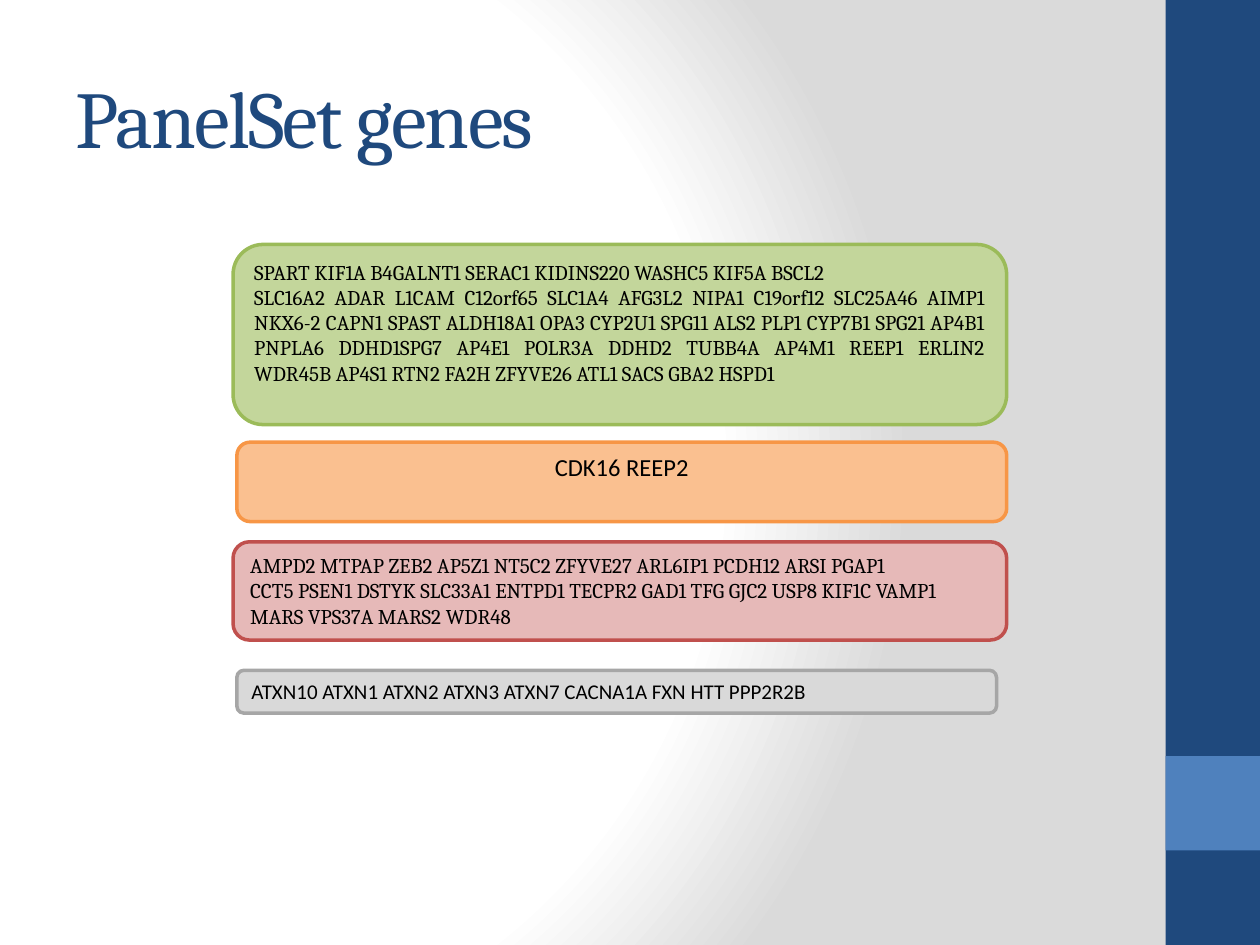
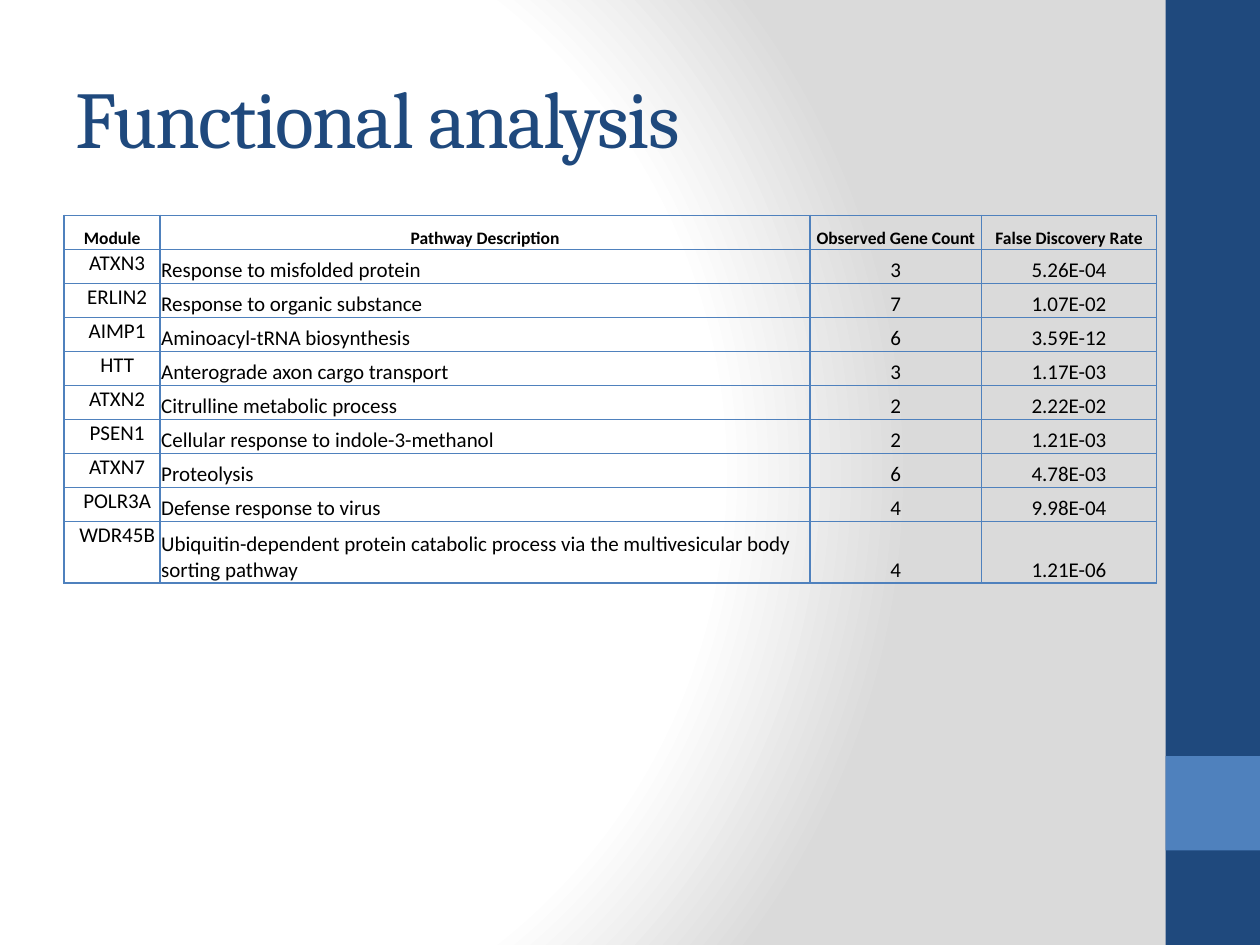
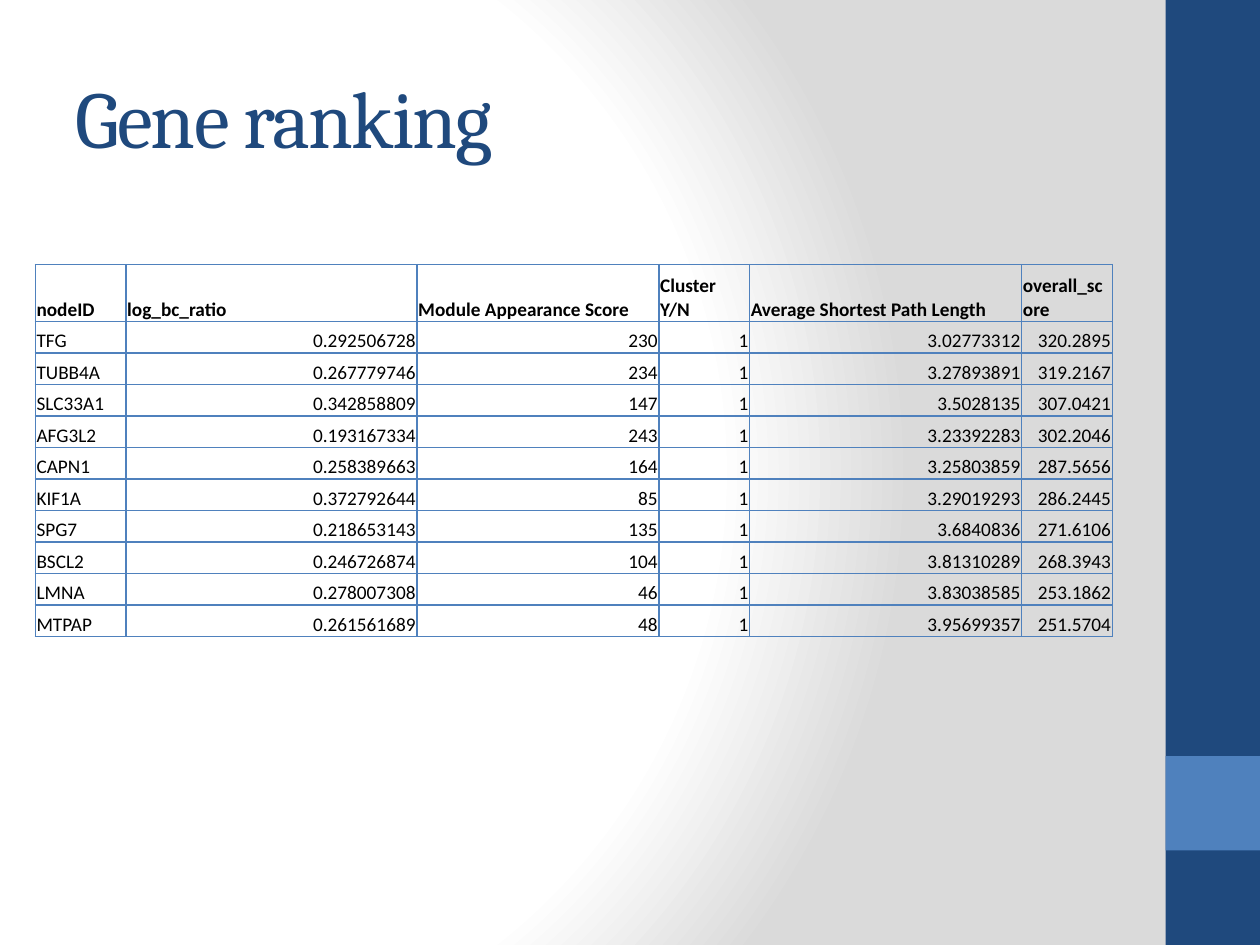
from pptx import Presentation
from pptx.dml.color import RGBColor
from pptx.enum import shapes, text
from pptx.oxml import parse_xml
from pptx.oxml.ns import nsdecls, qn
from pptx.util import Inches, Pt

NAVY = RGBColor(0x1F, 0x49, 0x7D)
BLUE = RGBColor(0x4F, 0x81, 0xBD)
BLACK = RGBColor(0, 0, 0)
GREEN, LIME = RGBColor(0x9B, 0xBB, 0x59), RGBColor(0xC3, 0xD6, 0x9B)
RED, PINK = RGBColor(0xC0, 0x50, 0x4D), RGBColor(0xE6, 0xB9, 0xB8)
RUST, PEACH = RGBColor(0xF7, 0x96, 0x46), RGBColor(0xFA, 0xC0, 0x90)
GREY, PALE = RGBColor(0xA6, 0xA6, 0xA6), RGBColor(0xD9, 0xD9, 0xD9)
SERIF, SANS = "Cambria", "Calibri"
LEFT, MID, RIGHT, JUST = (text.PP_ALIGN.LEFT, text.PP_ALIGN.CENTER,
                          text.PP_ALIGN.RIGHT, text.PP_ALIGN.JUSTIFY)
TOP, BASE = text.MSO_ANCHOR.TOP, text.MSO_ANCHOR.BOTTOM


def write(para, words, align, **form):
    para.alignment = align
    run = para.add_run()
    run.text = words
    color = form.pop("color", BLACK)
    for key, val in form.items():
        setattr(run.font, key, val)
    run.font.color.rgb = color
    return run


def add_grid(slide, left, top, cols, highs, rows, style):
    """Add a ruled table; style(row, col) gives align, anchor, left inset, size."""
    frame = slide.shapes.add_table(len(rows), len(cols), Inches(left), Inches(top),
                                   Inches(sum(cols)), Inches(sum(highs)))
    grid = frame.table
    grid.first_row = grid.horz_banding = False
    for col, wide in zip(grid.columns, cols):
        col.width = Inches(wide)
    for r, (row, high) in enumerate(zip(rows, highs)):
        grid.rows[r].height = Inches(high)
        for c, words in enumerate(row):
            align, anchor, inset, size = style(r, c)
            cell = grid.cell(r, c)
            cell.margin_left = Inches(inset)
            cell.margin_top = cell.margin_right = Inches(0.01)
            cell.margin_bottom = 0
            cell.vertical_anchor = anchor
            for side in "LRTB":
                cell._tc.get_or_add_tcPr().append(parse_xml(
                    f'<a:ln{side} {nsdecls("a")} w="{Pt(1)}"><a:solidFill>'
                    f'<a:srgbClr val="{BLUE}"/></a:solidFill></a:ln{side}>'))
            cell.fill.background()
            write(cell.text_frame.paragraphs[0], words, align,
                  size=Pt(size), name=SANS, bold=r == 0)


prs = Presentation()
prs.slide_width, prs.slide_height = Inches(10), Inches(7.5)

# Shared background, title and side bands
master = prs.slide_master
master.background.fill.solid()
flat = master.element.find(".//" + qn("p:bgPr") + "/" + qn("a:solidFill"))
stops = "".join(f'<a:gs pos="{pos}000"><a:srgbClr val="{hue}"/></a:gs>'
                for pos, hue in ((0, "FFFFFF"), (75, "FFFFFF"), (100, "DADADA")))
flat.getparent().replace(flat, parse_xml(
    f'<a:gradFill {nsdecls("a")} rotWithShape="1"><a:gsLst>{stops}</a:gsLst>'
    '<a:path path="circle"><a:fillToRect l="20000" t="50000" r="100000" b="50000"/>'
    '</a:path></a:gradFill>'))

pages = []
for name in ("PanelSet genes", "Functional analysis", "Gene ranking"):
    page = prs.slides.add_slide(prs.slide_layouts[5])
    title = page.shapes.title
    title.left, title.top = Inches(0.5), Inches(0.3)
    title.width, title.height = Inches(8.33), Inches(1.25)
    title.text_frame.vertical_anchor = text.MSO_ANCHOR.MIDDLE
    run = write(title.text_frame.paragraphs[0], name, LEFT,
                size=Pt(46), name=SERIF, color=NAVY)
    run.font._element.set("spc", "-100")
    pages.append(page)
genes, paths, ranks = pages

for spot, (top, high, hue) in enumerate(((0, 7.5, NAVY), (6, 0.75, BLUE))):
    band = genes.shapes.add_shape(shapes.MSO_SHAPE.RECTANGLE, Inches(9.25),
                                  Inches(top), Inches(0.75), Inches(high))
    band.shadow.inherit = False
    band.fill.solid()
    band.fill.fore_color.rgb = hue
    band.line.fill.background()
    master.element.cSld.spTree.insert(2 + spot, band._element)

# Gene panels
panels = [
    (1.85, 1.94, 6.14, 1.43, LIME, GREEN, JUST, SERIF, 12, [
        "SPART KIF1A B4GALNT1 SERAC1 KIDINS220 WASHC5 KIF5A BSCL2",
        "SLC16A2 ADAR L1CAM C12orf65 SLC1A4 AFG3L2 NIPA1 C19orf12 SLC25A46 AIMP1 "
        "NKX6-2 CAPN1 SPAST ALDH18A1 OPA3 CYP2U1 SPG11 ALS2 PLP1 CYP7B1 SPG21 AP4B1 "
        "PNPLA6 DDHD1SPG7 AP4E1 POLR3A DDHD2 TUBB4A AP4M1 REEP1 ERLIN2 "
        "WDR45B AP4S1 RTN2 FA2H ZFYVE26 ATL1 SACS GBA2 HSPD1"]),
    (1.85, 4.3, 6.14, 0.78, PINK, RED, LEFT, SERIF, 12, [
        "AMPD2 MTPAP ZEB2 AP5Z1 NT5C2 ZFYVE27 ARL6IP1 PCDH12 ARSI PGAP1",
        "CCT5 PSEN1 DSTYK SLC33A1 ENTPD1 TECPR2 GAD1 TFG GJC2 USP8 KIF1C VAMP1 "
        "MARS VPS37A MARS2 WDR48"]),
    (1.88, 3.51, 6.11, 0.63, PEACH, RUST, MID, SANS, 14, ["CDK16 REEP2"]),
    (1.88, 5.32, 6.03, 0.34, PALE, GREY, LEFT, SANS, 12, [
        "ATXN10 ATXN1 ATXN2 ATXN3 ATXN7 CACNA1A FXN HTT PPP2R2B"]),
]
group = genes.shapes.add_group_shape()
for left, top, wide, high, fill, edge, align, font, size, lines in panels:
    box = group.shapes.add_shape(shapes.MSO_SHAPE.ROUNDED_RECTANGLE, Inches(left),
                                 Inches(top), Inches(wide), Inches(high))
    box.shadow.inherit = False
    box.fill.solid()
    box.fill.fore_color.rgb = fill
    box.line.color.rgb = edge
    box.line.width = Pt(2)
    frame = box.text_frame
    frame.word_wrap = True
    frame.vertical_anchor = TOP
    for n, line in enumerate(lines):
        para = frame.add_paragraph() if n else frame.paragraphs[0]
        write(para, line, align, size=Pt(size), name=font)

# Pathways by module
rows = [
    ("Module", "Pathway Description", "Observed Gene Count", "False Discovery Rate"),
    ("ATXN3", "Response to misfolded protein", "3", "5.26E-04"),
    ("ERLIN2", "Response to organic substance", "7", "1.07E-02"),
    ("AIMP1", "Aminoacyl-tRNA biosynthesis", "6", "3.59E-12"),
    ("HTT", "Anterograde axon cargo transport", "3", "1.17E-03"),
    ("ATXN2", "Citrulline metabolic process", "2", "2.22E-02"),
    ("PSEN1", "Cellular response to indole-3-methanol", "2", "1.21E-03"),
    ("ATXN7", "Proteolysis", "6", "4.78E-03"),
    ("POLR3A", "Defense response to virus", "4", "9.98E-04"),
    ("WDR45B", "Ubiquitin-dependent protein catabolic process via the "
     "multivesicular body sorting pathway", "4", "1.21E-06"),
]
add_grid(paths, 0.51, 1.71, [0.76, 5.16, 1.36, 1.39], [0.27] * 9 + [0.49], rows,
         lambda r, c: (LEFT if r and c == 1 else MID,
                       TOP if r and c == 0 else BASE,
                       0.09 if r and c == 0 else 0.01,
                       12 if r else 10))

# Ranked genes
rows = [
    ("nodeID", "log_bc_ratio", "Module Appearance Score", "Cluster Y/N",
     "Average Shortest Path Length", "overall_score"),
    ("TFG", "0.292506728", "230", "1", "3.02773312", "320.2895"),
    ("TUBB4A", "0.267779746", "234", "1", "3.27893891", "319.2167"),
    ("SLC33A1", "0.342858809", "147", "1", "3.5028135", "307.0421"),
    ("AFG3L2", "0.193167334", "243", "1", "3.23392283", "302.2046"),
    ("CAPN1", "0.258389663", "164", "1", "3.25803859", "287.5656"),
    ("KIF1A", "0.372792644", "85", "1", "3.29019293", "286.2445"),
    ("SPG7", "0.218653143", "135", "1", "3.6840836", "271.6106"),
    ("BSCL2", "0.246726874", "104", "1", "3.81310289", "268.3943"),
    ("LMNA", "0.278007308", "46", "1", "3.83038585", "253.1862"),
    ("MTPAP", "0.261561689", "48", "1", "3.95699357", "251.5704"),
]
add_grid(ranks, 0.28, 2.1, [0.72, 2.31, 1.92, 0.72, 2.16, 0.72],
         [0.45] + [0.25] * 10, rows,
         lambda r, c: (RIGHT if r and c else LEFT, BASE, 0.01, 11))

prs.save("out.pptx")
